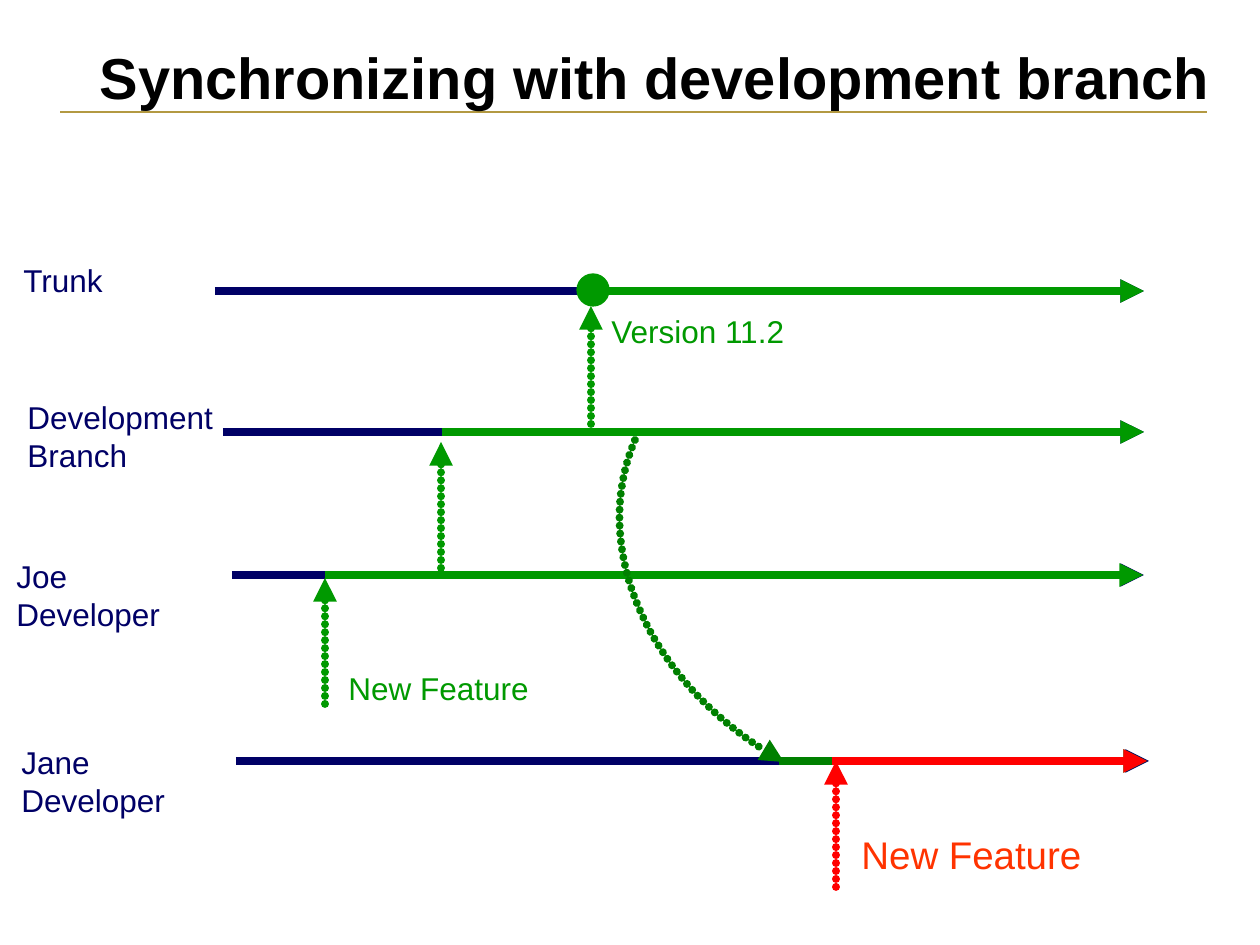
"""Build the slide on synchronizing with a development branch."""
import pptx
import pptx.dml.color
import pptx.enum.shapes
import pptx.enum.text
import pptx.oxml
import pptx.util
from lxml import etree

PX = 914400 / 126
NS = "http://schemas.openxmlformats.org/drawingml/2006/main"
NAVY, GREEN, DARK_GREEN, RED = "000066", "009900", "008000", "FF0000"
ALIGN = pptx.enum.text.PP_ALIGN
TRUNK, BRANCH, JOE, JANE = 291, 432, 575, 761


def rgb(value):
    return pptx.dml.color.RGBColor.from_string(value)


def style_line(sp, color, width=4.5, dotted=False, arrow=True):
    sp.line.color.rgb = rgb(color)
    sp.line.width = pptx.util.Pt(width)
    ln = sp._element.spPr.find(f"{{{NS}}}ln")
    if dotted:
        ln.set("cap", "rnd")
        dash = etree.SubElement(ln, f"{{{NS}}}custDash")
        etree.SubElement(dash, f"{{{NS}}}ds", d="100000", sp="1000")
    if arrow:
        etree.SubElement(ln, f"{{{NS}}}tailEnd", type="triangle")
    etree.SubElement(sp._element.spPr, f"{{{NS}}}effectLst")


prs = pptx.Presentation()
prs.slide_width, prs.slide_height = pptx.util.Inches(10), pptx.util.Inches(7.5)
s = prs.slides.add_slide(prs.slide_layouts[6])

rule = s.shapes.add_connector(
    pptx.enum.shapes.MSO_CONNECTOR.STRAIGHT,
    *[round(v * PX) for v in (1207, 112, 60, 112)])
style_line(rule, "B39942", 1.5, arrow=False)

lines = [
    (215, TRUNK, 1144, TRUNK, NAVY),
    (223, BRANCH, 1144, BRANCH, NAVY),
    (232, JOE, 1144, JOE, NAVY),
    (236, JANE, 1149, JANE, NAVY),
    (441, 568, 441, 442, GREEN),
    (442, BRANCH, 1144, BRANCH, GREEN),
    (591, 432, 591, 306, GREEN),
    (588, TRUNK, 1144, TRUNK, GREEN),
    (325, 704, 325, 578, GREEN),
    (325, JOE, 1143, JOE, GREEN),
    (779, JANE, 1147, JANE, DARK_GREEN),
    (836, 887, 836, 761, RED),
    (832, JANE, 1147, JANE, RED),
]
for x1, y1, x2, y2, color in lines:
    sp = s.shapes.add_connector(
        pptx.enum.shapes.MSO_CONNECTOR.STRAIGHT,
        *[round(v * PX) for v in (x1, y1, x2, y2)])
    style_line(sp, color, dotted=x1 == x2)

sp = s.shapes.add_shape(
    pptx.enum.shapes.MSO_SHAPE.OVAL,
    *[round(v * PX) for v in (577, 274, 32, 32)])
sp.shadow.inherit = False
sp.fill.solid()
sp.fill.fore_color.rgb = rgb(GREEN)
sp.line.color.rgb = rgb(GREEN)
sp.line.width = pptx.util.Pt(0.75)

controls = [(635, 440), (588, 551), (651, 688), (784, 762)]
steps = 40
points = []
for i in range(steps + 1):
    t = i / steps
    weights = ((1 - t) ** 3, 3 * t * (1 - t) ** 2, 3 * t * t * (1 - t), t ** 3)
    points.append([round(sum(w * c[axis] for w, c in zip(weights, controls)) * PX)
                   for axis in (0, 1)])
builder = s.shapes.build_freeform(*points[0])
builder.add_line_segments(points[1:], close=False)
sync = builder.convert_to_shape()
sync.fill.background()
style_line(sync, DARK_GREEN, dotted=True)

labels = [
    ("Synchronizing with development branch", 63, 49, 1147, 63,
     "000000", 33, True, ALIGN.RIGHT, 0.9),
    ("Trunk", 11, 255, 106, 50, NAVY, 18, False, ALIGN.LEFT, 1.0),
    ("Development\nBranch", 15, 392, 214, 88, NAVY, 18, False, ALIGN.LEFT, 1.0),
    ("Joe\nDeveloper", 4, 551, 172, 88, NAVY, 18, False, ALIGN.LEFT, 1.0),
    ("Jane\nDeveloper", 9, 737, 172, 88, NAVY, 18, False, ALIGN.LEFT, 1.0),
    ("Version 11.2", 599, 306, 204, 50, GREEN, 18, False, ALIGN.LEFT, 1.0),
    ("New Feature", 336, 663, 209, 50, GREEN, 18, False, ALIGN.LEFT, 1.0),
    ("New Feature", 847, 830, 249, 54, "FF3300", 22, False, ALIGN.CENTER, 0.9),
]
for text, x, y, w, h, color, size, bold, align, spacing in labels:
    sp = s.shapes.add_textbox(*[round(v * PX) for v in (x, y, w, h)])
    tf = sp.text_frame
    frame = {"word_wrap": False,
             "auto_size": pptx.enum.text.MSO_AUTO_SIZE.SHAPE_TO_FIT_TEXT}
    if bold:
        frame = {"word_wrap": True, "margin_left": 0, "margin_right": 0,
                 "margin_top": 0, "margin_bottom": 0,
                 "vertical_anchor": pptx.enum.text.MSO_ANCHOR.MIDDLE}
    for name, value in frame.items():
        setattr(tf, name, value)
    p = tf.paragraphs[0]
    p.text = text
    for name, value in {"alignment": align, "line_spacing": spacing}.items():
        setattr(p, name, value)
    for r in p.runs:
        font = {"name": "Arial", "size": pptx.util.Pt(size), "bold": bold}
        for name, value in font.items():
            setattr(r.font, name, value)
        r.font.color.rgb = rgb(color)

prs.save("out.pptx")
